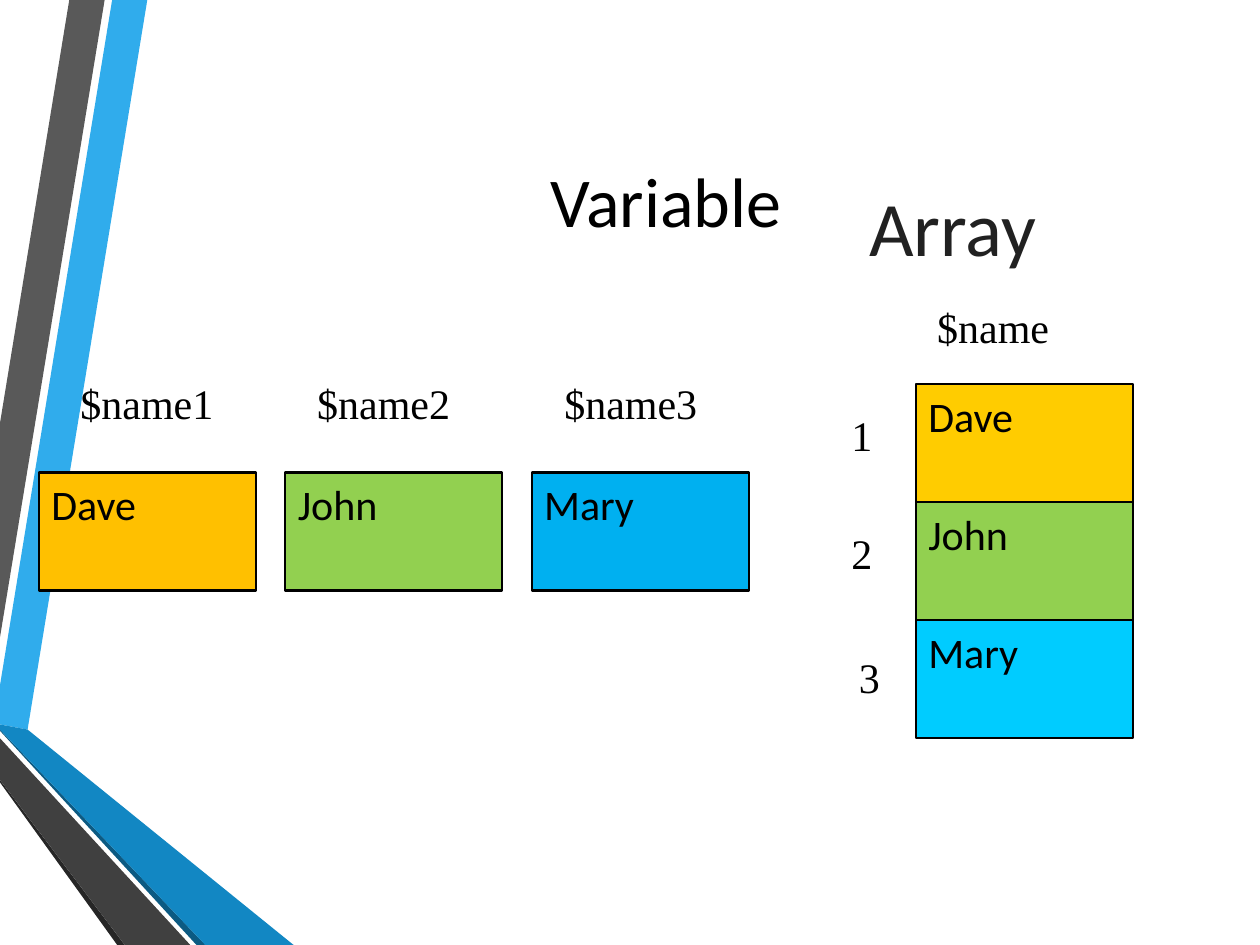
"""Build a slide that contrasts separate variables with one array."""
from dataclasses import dataclass

from pptx import Presentation
from pptx.dml.color import RGBColor
from pptx.enum.shapes import MSO_SHAPE as Shape
from pptx.enum.text import MSO_ANCHOR as Anchor, MSO_AUTO_SIZE as AutoSize, PP_ALIGN as Align
from pptx.slide import Slide
from pptx.text.text import TextFrame
from pptx.util import Pt

SANS, SERIF = "Calibri", "Times New Roman"
BLACK = "000000"
CELL_WIDTH, CELL_HEIGHT = 124, 67.5
VARIABLE_LEFT, VARIABLE_TOP, VARIABLE_STEP = 22.3, 270, 140.8
ARRAY_LEFT, ARRAY_TOP = 523.4, 219.4


@dataclass(frozen=True)
class Band:
    color: str
    points: tuple[tuple[float, float], ...]


@dataclass(frozen=True)
class Cell:
    text: str
    left: float
    top: float
    color: str


@dataclass(frozen=True)
class Label:
    text: str
    left: float
    top: float
    width: float


BANDS = (
    Band("30ACEC", ((0, 391.7), (0, 414), (15.8, 416.9), (84.2, 0), (64.1, 0))),
    Band("595959", ((59.8, 0), (39.6, 0), (0, 241.9), (0, 364.3))),
    Band("262626", ((0, 445.7), (0, 447.1), (67, 540), (71.3, 540))),
    Band("0C5A82", ((0, 416.9), (0, 417.6), (112.3, 540), (117.4, 540))),
    Band("1287C3", ((0, 416.9), (117.4, 540), (167.8, 540), (15.8, 416.9), (0, 414))),
    Band("404040", ((0, 445.7), (71.3, 540), (108.7, 540), (0, 421.9))),
)
NAMES = ("Dave", "John", "Mary")
VARIABLE_COLORS = ("FFC000", "92D050", "00B0F0")
ARRAY_COLORS = ("FFCC00", "92D050", "00CCFF")
LABELS = (
    Label("$name1", 38.9, 212.4, 91.4),
    Label("$name2", 174.2, 212.4, 91.4),
    Label("$name3", 315.4, 212.4, 91.4),
    Label("$name", 528.5, 168.5, 79.2),
    Label("1", 479.5, 230.4, 26.6),
    Label("2", 479.5, 298.1, 26.6),
    Label("3", 483.8, 368.6, 26.6),
)


def rgb(color: str) -> RGBColor:
    """Turn a hex string into a colour."""
    return RGBColor.from_string(color)


def write(frame: TextFrame, text: str, size: float, font: str = SANS,
          color: str = BLACK, align: Align = Align.LEFT) -> None:
    """Add one formatted run to the first paragraph."""
    para = frame.paragraphs[0]
    para.alignment = align
    span = para.add_run()
    span.text = text
    span.font.name = font
    span.font.size = Pt(size)
    span.font.color.rgb = rgb(color)


def draw_band(page: Slide, band: Band) -> None:
    """Draw one ribbon of the side decoration."""
    start, *others = [(Pt(x), Pt(y)) for x, y in band.points]
    builder = page.shapes.build_freeform(*start)
    builder.add_line_segments(others, close=True)
    ribbon = builder.convert_to_shape()
    ribbon.shadow.inherit = False
    ribbon.fill.solid()
    ribbon.fill.fore_color.rgb = rgb(band.color)
    ribbon.line.fill.background()


def draw_cell(page: Slide, cell: Cell) -> None:
    """Draw one storage cell with its value."""
    box = page.shapes.add_shape(Shape.RECTANGLE, Pt(cell.left), Pt(cell.top),
                                Pt(CELL_WIDTH), Pt(CELL_HEIGHT))
    box.shadow.inherit = False
    box.fill.solid()
    box.fill.fore_color.rgb = rgb(cell.color)
    box.line.color.rgb = rgb(BLACK)
    box.line.width = Pt(1.25)
    box.text_frame.vertical_anchor = Anchor.TOP
    write(box.text_frame, cell.text, 24)


def draw_label(page: Slide, label: Label) -> None:
    """Draw a variable name or an array index."""
    box = page.shapes.add_textbox(Pt(label.left), Pt(label.top), Pt(label.width), Pt(36.4))
    box.text_frame.word_wrap = False
    box.text_frame.auto_size = AutoSize.SHAPE_TO_FIT_TEXT
    write(box.text_frame, label.text, 24, SERIF)


def draw_headings(page: Slide) -> None:
    """Place the title and the heading of the array."""
    title = page.shapes.title
    title.left, title.top, title.width, title.height = Pt(77), Pt(36), Pt(607), Pt(156.2)
    title.text_frame.vertical_anchor = Anchor.MIDDLE
    write(title.text_frame, "Variable", 40, align=Align.CENTER)
    heading = page.shapes.add_textbox(Pt(489.6), Pt(84.2), Pt(200.9), Pt(90))
    heading.text_frame.word_wrap = True
    heading.text_frame.vertical_anchor = Anchor.MIDDLE
    write(heading.text_frame, "Array", 44, color="212121")


def main() -> None:
    """Build and save the deck."""
    deck = Presentation()
    deck.slide_width, deck.slide_height = Pt(720), Pt(540)
    page = deck.slides.add_slide(deck.slide_layouts[5])
    for band in BANDS:
        draw_band(page, band)
    draw_headings(page)
    for index, name in enumerate(NAMES):
        draw_cell(page, Cell(name, VARIABLE_LEFT + index * VARIABLE_STEP, VARIABLE_TOP,
                             VARIABLE_COLORS[index]))
        draw_cell(page, Cell(name, ARRAY_LEFT, ARRAY_TOP + index * CELL_HEIGHT,
                             ARRAY_COLORS[index]))
    for label in LABELS:
        draw_label(page, label)
    deck.save("out.pptx")


if __name__ == "__main__":
    main()
